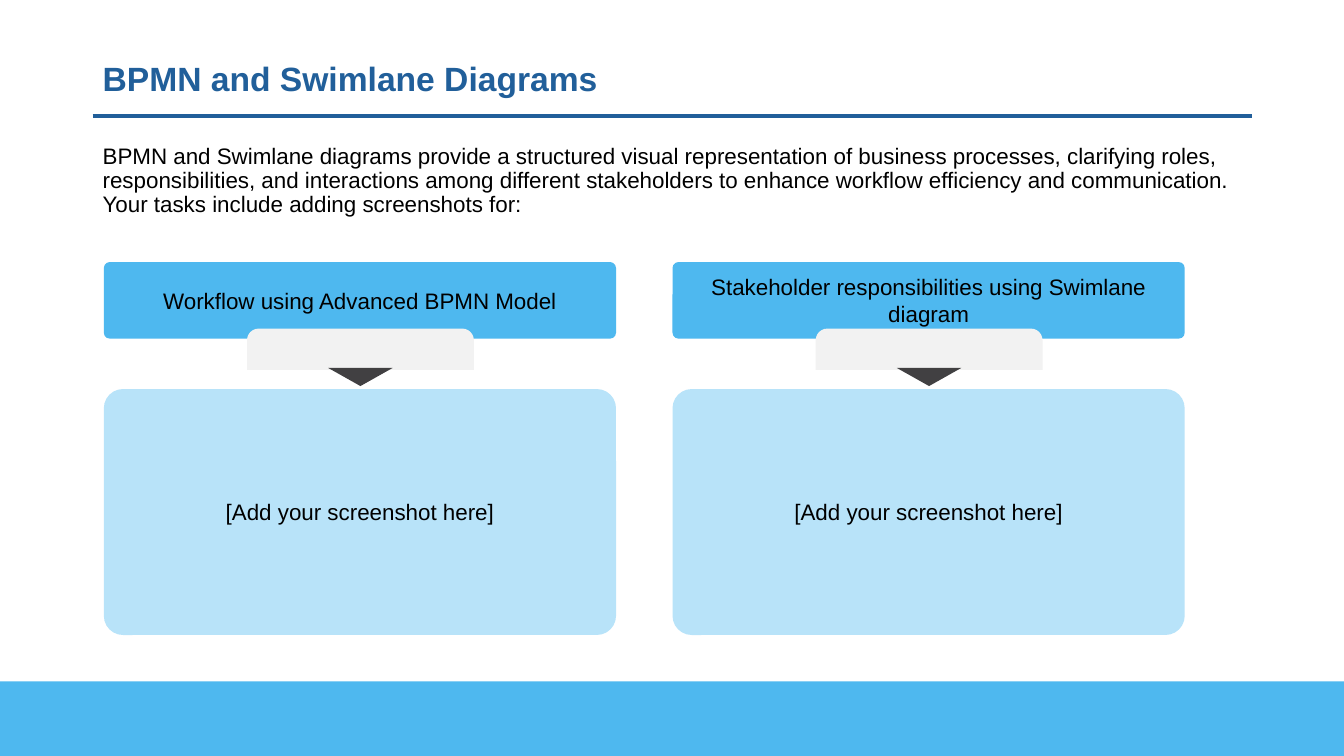
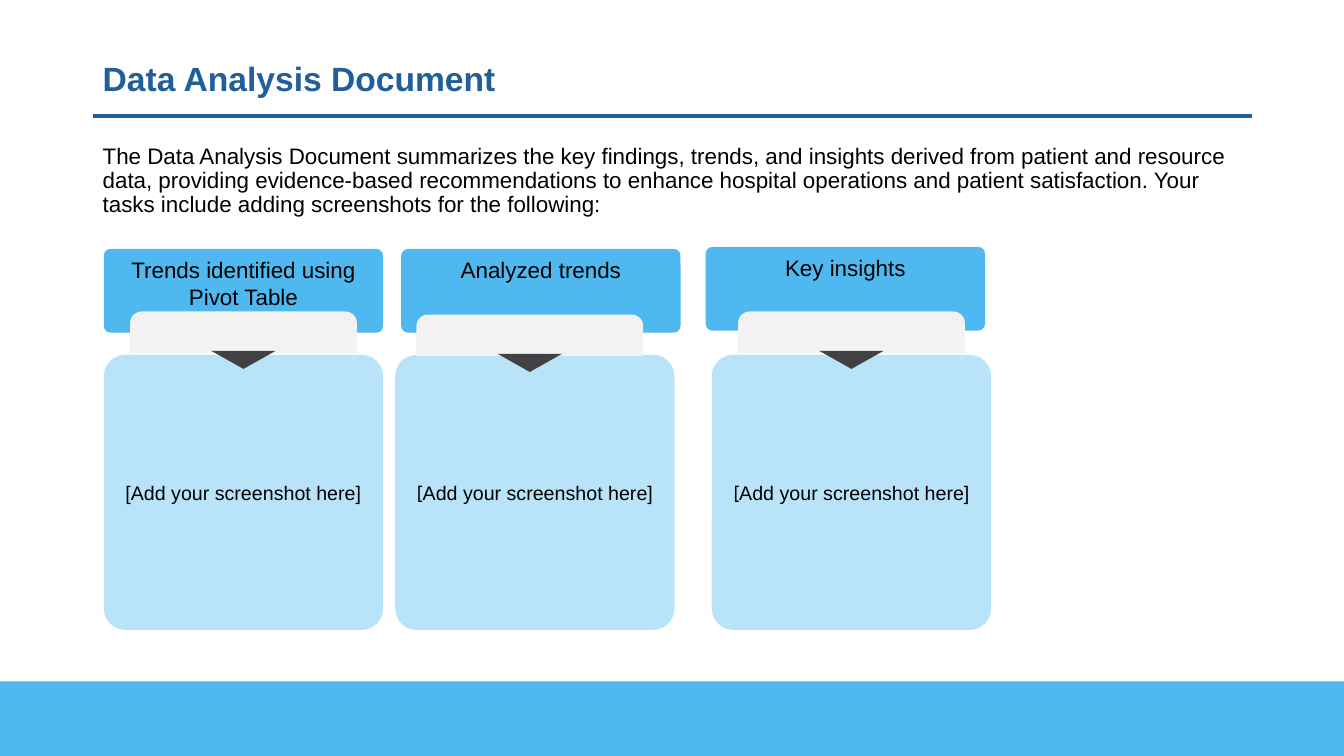
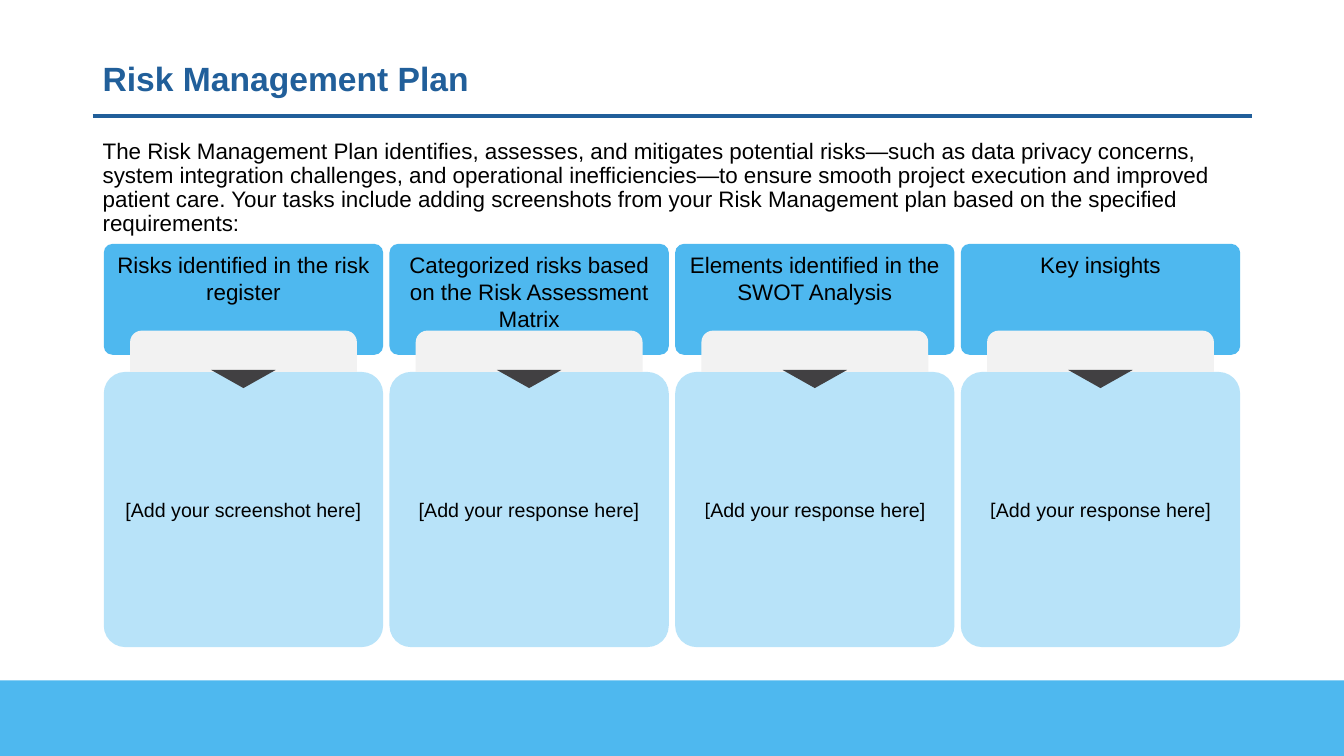
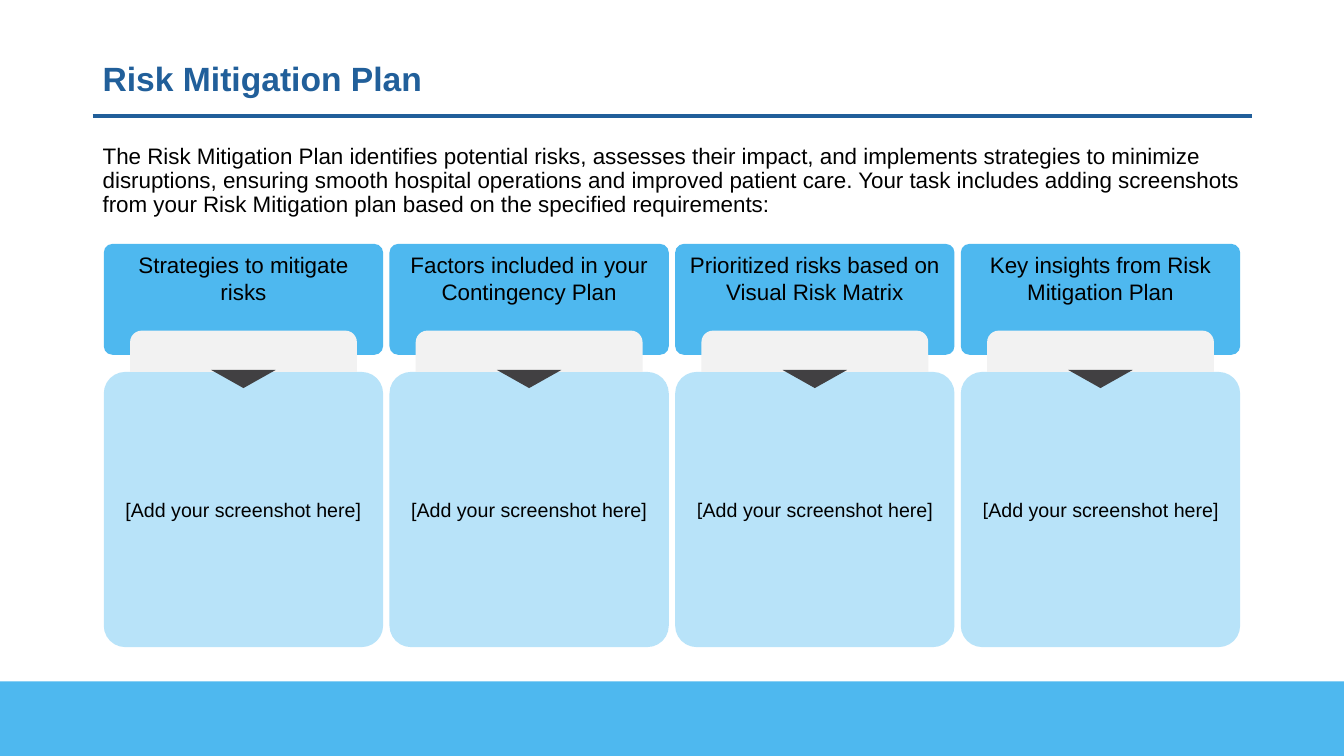
from lxml.etree import SubElement
from pptx import Presentation
from pptx.dml.color import RGBColor
from pptx.enum.shapes import MSO_CONNECTOR as Connector, MSO_SHAPE as Shape
from pptx.enum.text import MSO_ANCHOR as Anchor, PP_ALIGN as Align
from pptx.oxml.ns import qn
from pptx.util import Inches, Pt

WIDTH, HEIGHT = 13.33, 7.5
MARGIN, CONTENT = 0.92, 11.5
LEFT, COLUMN, PITCH = 1.03, 2.77, 17 / 6
TAB_WIDTH, TAB_HEIGHT = 2.25, 0.41
ARROW_WIDTH, ARROW_HEIGHT, ARROW_DROP = 0.64, 0.18, 0.39
ROUNDING, TAB_ROUNDING = 0.078, 0.28
NAVY, SKY, PALE, GREY, DARK, BLACK = "215F9A", "4EB8EF", "B8E3F9", "F2F2F2", "414042", "000000"
SCREENSHOT, RESPONSE = "[Add your screenshot here]", "[Add your response here]"

colour = RGBColor.from_string


def add_block(page, kind, place, fill, rounding=None):
    block = page.shapes.add_shape(kind, *map(Inches, place))
    block.shadow.inherit = False
    block.fill.solid()
    block.fill.fore_color.rgb = colour(fill)
    block.line.fill.background()
    if rounding is not None:
        block.adjustments[0] = rounding
    return block


def write(box, text, size, ink=BLACK, bold=False, align=Align.CENTER,
          anchor=Anchor.MIDDLE, spacing=1.0, bracket_font=None):
    frame = box.text_frame
    frame.word_wrap = True
    frame.vertical_anchor = anchor
    para = frame.paragraphs[0]
    para.alignment = align
    para.line_spacing = spacing
    para.font.name = "Arial"
    para.font.size = Pt(size)
    para.font.bold = bold
    para.font.color.rgb = colour(ink)
    if bracket_font:
        bracket = para.add_run()
        bracket.text, text = text[0], text[1:]
        bracket.font.name = bracket_font
    span = para.add_run()
    span.text = text


four_columns = [LEFT + PITCH * index for index in range(4)]
two_columns = [LEFT, LEFT + 5.64]
four_layout = dict(
    width=COLUMN, header_lefts=four_columns, body_lefts=four_columns,
    header_tops=[2.42] * 4, header_height=1.1, header_anchor=Anchor.TOP,
    tab_lefts=[left + 0.26 for left in four_columns], tab_tops=[3.28] * 4,
    body_top=3.69, body_height=2.73, body_size=14, karla_from=2,
)
two_layout = dict(
    width=5.08, header_lefts=two_columns, body_lefts=two_columns,
    header_tops=[2.6] * 2, header_height=0.76, header_anchor=Anchor.MIDDLE,
    tab_lefts=[left + 1.42 for left in two_columns], tab_tops=[3.26] * 2,
    body_top=3.86, body_height=2.44, body_size=16, karla_from=2,
)
three_layout = dict(
    four_layout, header_lefts=[LEFT, 3.98, 7.0], body_lefts=[LEFT, 3.92, 7.06],
    header_tops=[2.47, 2.47, 2.45], header_height=0.83,
    tab_lefts=[1.29, 4.13, 7.32], tab_tops=[3.09, 3.12, 3.09],
    body_top=3.52, karla_from=1,
)

pages = [
    ("BPMN and Swimlane Diagrams", 1.39, 6.76,
     "BPMN and Swimlane diagrams provide a structured visual representation of business processes, "
     "clarifying roles, responsibilities, and interactions among different stakeholders to enhance "
     "workflow efficiency and communication. Your tasks include adding screenshots for:",
     two_layout,
     [("Workflow using Advanced BPMN Model", SCREENSHOT),
      ("Stakeholder responsibilities using Swimlane diagram", SCREENSHOT)]),
    ("Data Analysis Document", 1.39, 6.76,
     "The Data Analysis Document summarizes the key findings, trends, and insights derived from "
     "patient and resource data, providing evidence-based recommendations to enhance hospital "
     "operations and patient satisfaction. Your tasks include adding screenshots for the following:",
     three_layout,
     [("Trends identified using Pivot Table", SCREENSHOT),
      ("Analyzed trends", SCREENSHOT),
      ("Key insights", SCREENSHOT)]),
    ("Risk Management Plan", 1.34, 6.75,
     "The Risk Management Plan identifies, assesses, and mitigates potential risks—such as data "
     "privacy concerns, system integration challenges, and operational inefficiencies—to ensure "
     "smooth project execution and improved patient care. Your tasks include adding screenshots "
     "from your Risk Management plan based on the specified requirements:",
     four_layout,
     [("Risks identified in the risk register", SCREENSHOT),
      ("Categorized risks based on the Risk Assessment Matrix", RESPONSE),
      ("Elements identified in the SWOT Analysis", RESPONSE),
      ("Key insights", RESPONSE)]),
    ("Risk Mitigation Plan", 1.39, 6.76,
     "The Risk Mitigation Plan identifies potential risks, assesses their impact, and implements "
     "strategies to minimize disruptions, ensuring smooth hospital operations and improved patient "
     "care. Your task includes adding screenshots from your Risk Mitigation plan based on the "
     "specified requirements:",
     four_layout,
     [("Strategies to mitigate risks", SCREENSHOT),
      ("Factors included in your Contingency Plan", SCREENSHOT),
      ("Prioritized risks based on Visual Risk Matrix", SCREENSHOT),
      ("Key insights from Risk Mitigation Plan", SCREENSHOT)]),
]

deck = Presentation()
deck.slide_width, deck.slide_height = Inches(WIDTH), Inches(HEIGHT)

for title, intro_top, band_top, intro, layout, cards in pages:
    page = deck.slides.add_slide(deck.slide_layouts[6])

    title_box = page.shapes.add_textbox(*map(Inches, (MARGIN, 0.4, CONTENT, 0.79)))
    write(title_box, title, 24, NAVY, bold=True, align=Align.LEFT, spacing=0.9)
    intro_box = page.shapes.add_textbox(*map(Inches, (MARGIN, intro_top, CONTENT, 0.83)))
    write(intro_box, intro, 16, align=Align.LEFT, anchor=Anchor.TOP, spacing=0.9)

    add_block(page, Shape.RECTANGLE, (0, band_top, WIDTH, HEIGHT - band_top), SKY)
    rule = page.shapes.add_connector(
        Connector.STRAIGHT, *map(Inches, (MARGIN, 1.15, MARGIN + CONTENT, 1.15)))
    rule.line.color.rgb = colour(NAVY)
    rule.line.width = Pt(3)
    SubElement(rule._element.spPr, qn("a:effectLst"))

    for index, (heading, prompt) in enumerate(cards):
        body = add_block(
            page, Shape.ROUNDED_RECTANGLE,
            (layout["body_lefts"][index], layout["body_top"], layout["width"], layout["body_height"]),
            PALE, ROUNDING)
        write(body, prompt, layout["body_size"],
              bracket_font="Karla" if index >= layout["karla_from"] else None)

        header = add_block(
            page, Shape.ROUNDED_RECTANGLE,
            (layout["header_lefts"][index], layout["header_tops"][index],
             layout["width"], layout["header_height"]),
            SKY, ROUNDING)
        write(header, heading, 16, anchor=layout["header_anchor"])

        tab_left, tab_top = layout["tab_lefts"][index], layout["tab_tops"][index]
        add_block(page, Shape.ROUND_2_SAME_RECTANGLE,
                  (tab_left, tab_top, TAB_WIDTH, TAB_HEIGHT), GREY, TAB_ROUNDING)
        add_block(page, Shape.FLOWCHART_MERGE,
                  (tab_left + (TAB_WIDTH - ARROW_WIDTH) / 2, tab_top + ARROW_DROP,
                   ARROW_WIDTH, ARROW_HEIGHT), DARK)

deck.save("out.pptx")
